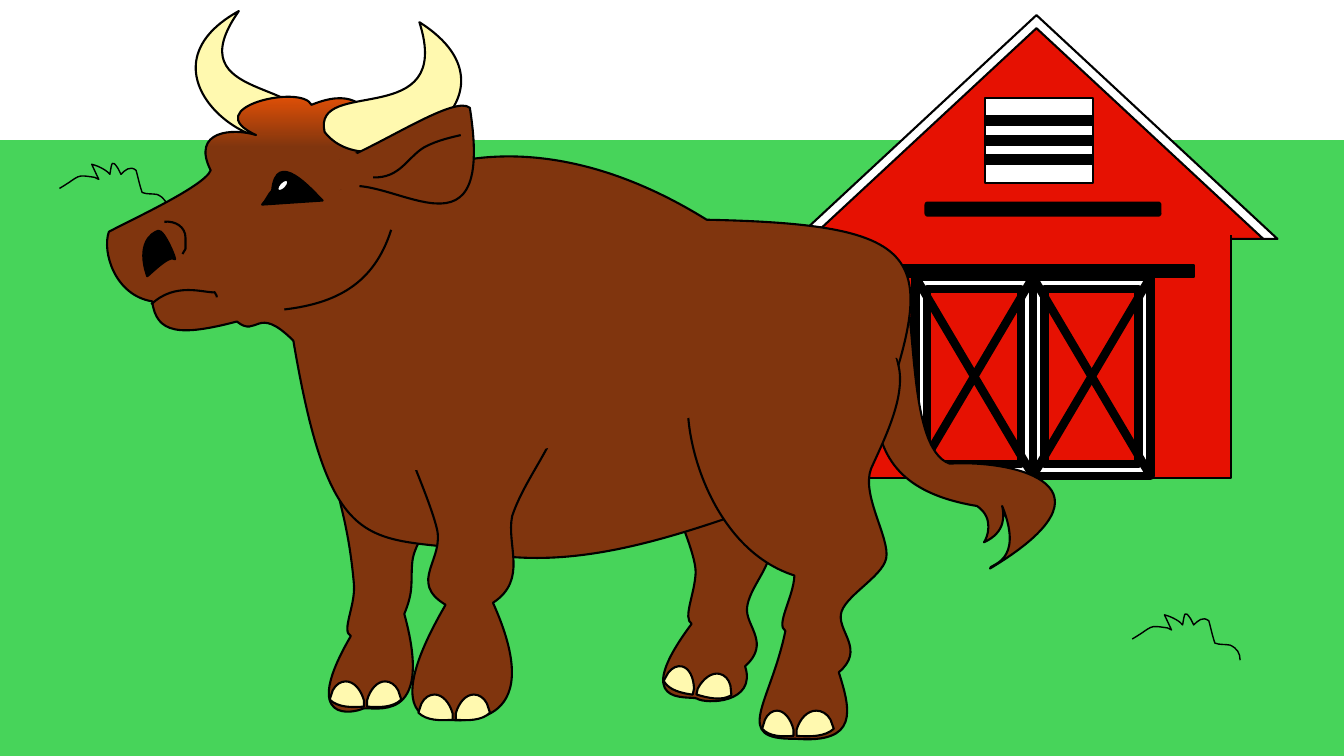
from dataclasses import dataclass

from lxml import etree
from pptx import Presentation
from pptx import util as u
from pptx.dml.color import RGBColor
from pptx.enum import shapes
from pptx.oxml.ns import qn

SHAPE = shapes.MSO_SHAPE


@dataclass(frozen=True)
class Theme:
    black: str = "000000"
    white: str = "FFFFFF"
    grass: str = "47D45A"
    barn: str = "E61102"
    hide: str = "80350E"
    forelock: str = "DE4F07"
    horn: str = "FFF9AF"
    thin: float = 1
    outline: float = 1.5
    beam: float = 6


@dataclass(frozen=True)
class Grid:
    """A box in inches, divided into columns and rows."""
    x: float
    y: float
    w: float
    h: float
    cols: int
    rows: int

    def at(self, col, row):
        return (u.Inches(self.x + col * self.w / self.cols), u.Inches(self.y + row * self.h / self.rows))

    def frame(self, col, row, cols, rows):
        (x, y), (right, bottom) = self.at(col, row), self.at(col + cols, row + rows)
        return x, y, right - x, bottom - y

    def inner(self, frame, cols, rows):
        """A finer grid laid over a frame of this one."""
        return Grid(*(length / u.Inches(1) for length in self.frame(*frame)), cols, rows)


T = Theme()

# An outline names its strokes in drawing order, in grid units. Two numbers are a
# straight stroke to x, y; six are a curve: first handle, second handle, end point.
TUFT = dict(start=(0, 26), stem=(22, 13, 15, 12, 35, 15), stem_end=(39, 17),
            blade_1_up=(32, 2), blade_1_down=(40, 4, 48, 9, 50, 12),
            blade_2_up=(52, 0, 52, -3, 58, 6), blade_2_down=(61, 12),
            blade_3=(65, 8, 70, 3, 76, 8), stalk=(78, 15, 79, 21, 82, 30),
            ledge=(87, 32, 92, 31, 97, 32), root=(104, 35, 107, 40, 107, 47))
TOE = dict(start=(16, 0), inner_side=(24, 0, 31, 8, 34, 19), inner_corner=(34, 25),
           sole=(22, 26, 8, 26, 0, 18), outer_corner=(3, 9), crown=(6, 3, 11, 0, 16, 0))
TAIL = dict(start=(853, 285), root=(892, 274), upper_edge=(911, 289, 897, 445, 942, 460),
            tuft_back=(1008, 456, 1117, 483, 982, 564), long_lock=(980, 560, 1017, 559, 994, 502),
            short_lock=(996, 511, 998, 528, 976, 538), notch=(979, 534, 987, 514, 969, 502),
            lower_edge=(817, 477, 892, 357, 853, 285))
FAR_HIND_LEG = dict(start=(709, 381), hip=(823, 396), thigh_back=(809, 427, 804, 459, 790, 490),
                    hock=(780, 516, 768, 529, 764, 549), shin_back=(760, 568, 743, 585, 741, 603),
                    heel=(739, 621, 765, 638, 739, 661), sole=(751, 698, 700, 699, 691, 693),
                    toe_front=(682, 690, 624, 702, 686, 619), ankle=(677, 613, 689, 590, 690, 568),
                    shin_front=(690, 548, 669, 506, 668, 493), thigh_front=(672, 462, 683, 397, 709, 381))
FAR_FORELEG = dict(start=(345, 392), shoulder=(460, 394), upper_back=(449, 427, 448, 459, 437, 491),
                   elbow=(430, 518, 411, 538, 409, 557), shin_back=(407, 577, 411, 585, 401, 609),
                   heel=(432, 722, 369, 700, 360, 703), toe_front=(352, 707, 296, 720, 348, 631),
                   ankle=(338, 626, 353, 601, 351, 579), shin_front=(349, 557, 346, 533, 338, 501),
                   upper_front=(330, 469, 346, 404, 345, 392))
NEAR_FORELEG = dict(start=(391, 407), shoulder=(555, 417), upper_back=(544, 449, 519, 479, 508, 512),
                    knee_back=(502, 541, 524, 575, 489, 598), heel=(548, 729, 450, 714, 442, 714),
                    toe_front=(434, 714, 372, 720, 442, 600), knee_front=(404, 577, 442, 555, 433, 523),
                    upper_front=(425, 491, 392, 420, 391, 407))
NEAR_HIND_LEG = dict(start=(689, 371), hip=(889, 356), thigh_back=(902, 387, 878, 434, 864, 465),
                     hock=(854, 491, 883, 534, 879, 554), shin_back=(875, 573, 836, 592, 834, 610),
                     heel=(832, 628, 858, 645, 832, 667), sole=(844, 705, 852, 738, 789, 733),
                     toe_front=(725, 734, 764, 699, 779, 626), ankle=(769, 620, 787, 593, 788, 571),
                     thigh_front=(694, 541, 668, 399, 689, 371))
BODY = dict(start=(309, 104), poll=(385, 73, 368, 161, 405, 176), shoulder=(449, 155, 556, 128, 701, 218),
            rump=(944, 223, 929, 261, 856, 466), belly=(706, 518, 581, 577, 457, 544),
            chest=(361, 533, 326, 544, 291, 338), throat=(254, 301, 256, 336, 235, 319),
            jaw=(178, 334, 155, 331, 151, 299), muzzle=(114, 293, 101, 250, 108, 230),
            nose_bridge=(126, 220, 203, 185, 209, 169), brow=(189, 129, 232, 127, 254, 134),
            forelock=(195, 107, 299, 83, 309, 104))
FAR_HORN = dict(start=(301, 131), outer=(256, 168, 128, 71, 237, 11), inner=(172, 103, 320, 77, 301, 131))
NEAR_HORN = dict(start=(322, 131), outer=(370, 193, 533, 96, 416, 22), inner=(451, 131, 309, 75, 322, 131))
EAR = dict(start=(338, 159), top=(381, 142, 452, 94, 466, 107),
           lobe=(493, 277, 377, 161, 333, 189), base=(338, 159))
EYE = dict(start=(270, 189), lid=(274, 147, 309, 188, 320, 199), lower_lid=(260, 203),
           corner=(264, 199, 266, 193, 270, 189))
NOSTRIL = dict(start=(173, 257), floor=(168, 252, 146, 275, 146, 274),
               front=(135, 242, 150, 231, 157, 229), back=(163, 227, 177, 262, 173, 257))
NOSE_FOLD = dict(start=(163, 220), arch=(174, 219, 184, 225, 184, 236), side=(184, 247),
                 hook=(183, 249, 183, 250, 181, 252))
EAR_FOLD = dict(start=(370, 176), inside=(397, 177, 404, 156, 421, 146), tip=(434, 139, 449, 136, 457, 134))
CHEEK = dict(start=(282, 307), jaw=(333, 301, 371, 282, 388, 228))
MOUTH = dict(start=(150, 302), lip=(174, 279, 203, 291, 213, 290), corner=(215, 294, 215, 293, 215, 295))
# Patches without a line hide the seams where ear and near legs join the body.
EAR_SEAM = dict(start=(324, 172), top=(337, 155, 352, 146, 356, 155),
                lobe=(360, 238, 346, 167, 333, 194), base=(324, 172))
LEG_SEAM = dict(start=(142, 0), back=(263, 24, 326, 70, 274, 94), bottom=(-268, 196, 186, 70, 0, 54), top=(142, 0))
# Left and top of the first toe, then both widths, drop of the second toe and tilt.
FAR_HOOVES = ((327, 676, (35, 35), 0, 0), (659, 661, (32, 35), 7, 12.7))
NEAR_HOOVES = ((415, 689, (35, 35), 0, 0), (756, 705, (32, 38), 0, 0))


def paint(sp, fill=None, width=T.outline):
    """Fill with a colour or nothing; outline in black unless the width is 0."""
    sp.shadow.inherit = False
    if fill:
        sp.fill.solid()
        sp.fill.fore_color.rgb = RGBColor.from_string(fill)
    else:
        sp.fill.background()
    if width:
        sp.line.width = u.Pt(width)
        sp.line.color.rgb = RGBColor.from_string(T.black)
    else:
        sp.line.fill.background()
    return sp


def add_preset(s, grid, kind, frame, fill, width=T.outline):
    return paint(s.shapes.add_shape(kind, *grid.frame(*frame)), fill, width)


def bezier(ends, t):
    weights = ((1 - t) ** 3, 3 * t * (1 - t) ** 2, 3 * t * t * (1 - t), t ** 3)
    return tuple(round(sum(w * v for w, v in zip(weights, axis))) for axis in zip(*ends))


def add_outline(s, grid, *outlines, fill=None, width=T.outline):
    """Draw outlines as one shape; each with a fill is closed."""
    steps, trace = [], []
    for outline in outlines:
        for name, nums in outline.items():
            pts = [grid.at(*p) for p in zip(nums[::2], nums[1::2])]
            if len(pts) == 3:
                ends = [trace[-1], *pts]
                trace += [bezier(ends, k / 24) for k in range(1, 25)]
                steps.append(("cubicBezTo", pts))
            else:
                trace += pts
                steps.append(("moveTo" if name == "start" else "lnTo", pts))
        if fill:
            steps.append(("close", []))
    # The traced points set the frame; the exact strokes then replace them.
    builder = s.shapes.build_freeform(*trace[0])
    builder.add_line_segments(trace[1:], close=False)
    sp = builder.convert_to_shape()
    geometry = sp._element.find(".//" + qn("a:path"))
    for node in list(geometry):
        geometry.remove(node)
    for tag, pts in steps:
        node = etree.SubElement(geometry, qn("a:" + tag))
        for x, y in pts:
            etree.SubElement(node, qn("a:pt"), x=str(x - sp.left), y=str(y - sp.top))
    return paint(sp, fill, width)


def mirrored(outline, cols):
    return {name: tuple(v if i % 2 else cols - v for i, v in enumerate(nums)) for name, nums in outline.items()}


def add_tuft(s, x, y):
    add_outline(s, Grid(x, y, 1.07, 0.46, 107, 46), TUFT, width=T.thin)


def add_door(s, grid, frame):
    door = grid.inner(frame, 100, 100)
    rim = dict(start=(0, 0), top=(100, 0), right=(100, 100), bottom=(0, 100), left=(0, 0))
    opening = dict(start=(10, 6), left=(10, 94), bottom=(90, 94), right=(90, 6), top=(10, 6))
    add_outline(s, door, rim, opening, fill=T.white, width=T.beam)
    for top, bottom in ((100, 0), (0, 100)):
        beam = s.shapes.add_connector(shapes.MSO_CONNECTOR.STRAIGHT, *door.at(top, 0), *door.at(bottom, 100))
        beam.line.width = u.Pt(T.beam)
        beam.line.color.rgb = RGBColor.from_string(T.black)
        etree.SubElement(beam._element.spPr, qn("a:effectLst"))


def add_barn(s, x, y, w, h):
    grid = Grid(x, y, w, h, 478, 459)
    add_preset(s, grid, SHAPE.ISOSCELES_TRIANGLE, (0, 0, 478, 222), T.white)
    add_preset(s, grid, SHAPE.ISOSCELES_TRIANGLE, (14, 13, 450, 209), T.barn)
    add_preset(s, grid, SHAPE.RECTANGLE, (43, 213, 389, 246), T.barn)
    add_preset(s, grid, SHAPE.RECTANGLE, (88, 248, 307, 12), T.black)
    for i in range(2):
        add_door(s, grid, (119 + 116.5 * i, 260, 116.5, 197))
    add_preset(s, grid, SHAPE.ROUNDED_RECTANGLE, (129, 186, 233, 13), T.black)
    add_preset(s, grid, SHAPE.RECTANGLE, (188, 82, 107, 85), T.white)
    for i in range(3):
        add_preset(s, grid, SHAPE.RECTANGLE, (188, 100 + 19.5 * i, 107, 9), T.black)
    add_preset(s, grid, SHAPE.ROUNDED_RECTANGLE, (40, 205, 396, 13), T.barn, 0)


def add_hoof(s, grid, x, y, widths, drop, tilt):
    """Two toes side by side, the second a mirror image of the first."""
    first, second = widths
    for toe, frame in ((TOE, (x, y, first, 26)), (mirrored(TOE, 35), (x + first + 1, y + drop, second, 26))):
        add_outline(s, grid.inner(frame, 35, 26), toe, fill=T.horn).rotation = tilt


def add_body(s, grid):
    fill = add_outline(s, grid, BODY, fill=T.hide).fill
    fill.gradient()
    fill.gradient_angle = 270
    for stop, position, colour in zip(fill.gradient_stops, (0, 0.11), (T.forelock, T.hide)):
        stop.position = position
        stop.color.rgb = RGBColor.from_string(colour)


def add_face(s, grid):
    for outline, fill in ((NOSTRIL, T.black), (NOSE_FOLD, None), (EYE, T.black), (NEAR_HORN, T.horn),
                          (EAR, T.hide), (EAR_FOLD, None), (CHEEK, None), (MOUTH, None)):
        add_outline(s, grid, outline, fill=fill)
    add_preset(s, grid, SHAPE.OVAL, (277, 177, 7, 14), T.white).rotation = 43.9


def add_bull(s, x, y, w, h):
    grid = Grid(x, y, w, h, 1333, 750)
    for outline, fill in ((TAIL, T.hide), (FAR_HIND_LEG, T.hide), (FAR_HORN, T.horn), (FAR_FORELEG, T.hide)):
        add_outline(s, grid, outline, fill=fill)
    add_body(s, grid)
    for leg in (NEAR_FORELEG, NEAR_HIND_LEG):
        add_outline(s, grid, leg, fill=T.hide)
    add_face(s, grid)
    add_outline(s, grid, EAR_SEAM, fill=T.hide, width=0)
    for left, top in ((597, 288), (332, 339)):
        add_outline(s, grid.inner((left, top, 100, 100), 100, 100), LEG_SEAM, fill=T.hide, width=0)
    for hoof in FAR_HOOVES + NEAR_HOOVES:
        add_hoof(s, grid, *hoof)


def main():
    prs = Presentation()
    width, height = 13.33, 7.5
    prs.slide_width, prs.slide_height = u.Inches(width), u.Inches(height)
    s = prs.slides.add_slide(prs.slide_layouts[6])
    page = Grid(0, 0, width, height, 1333, 750)
    add_preset(s, page, SHAPE.RECTANGLE, (0, 139, 1333, 611), T.grass, 0)
    for x, y in ((11.23, 6.08), (0.59, 1.61)):
        add_tuft(s, x, y)
    add_barn(s, 7.89, 0.15, 4.78, 4.59)
    add_bull(s, 0, 0, width, height)
    prs.save("out.pptx")


if __name__ == "__main__":
    main()
